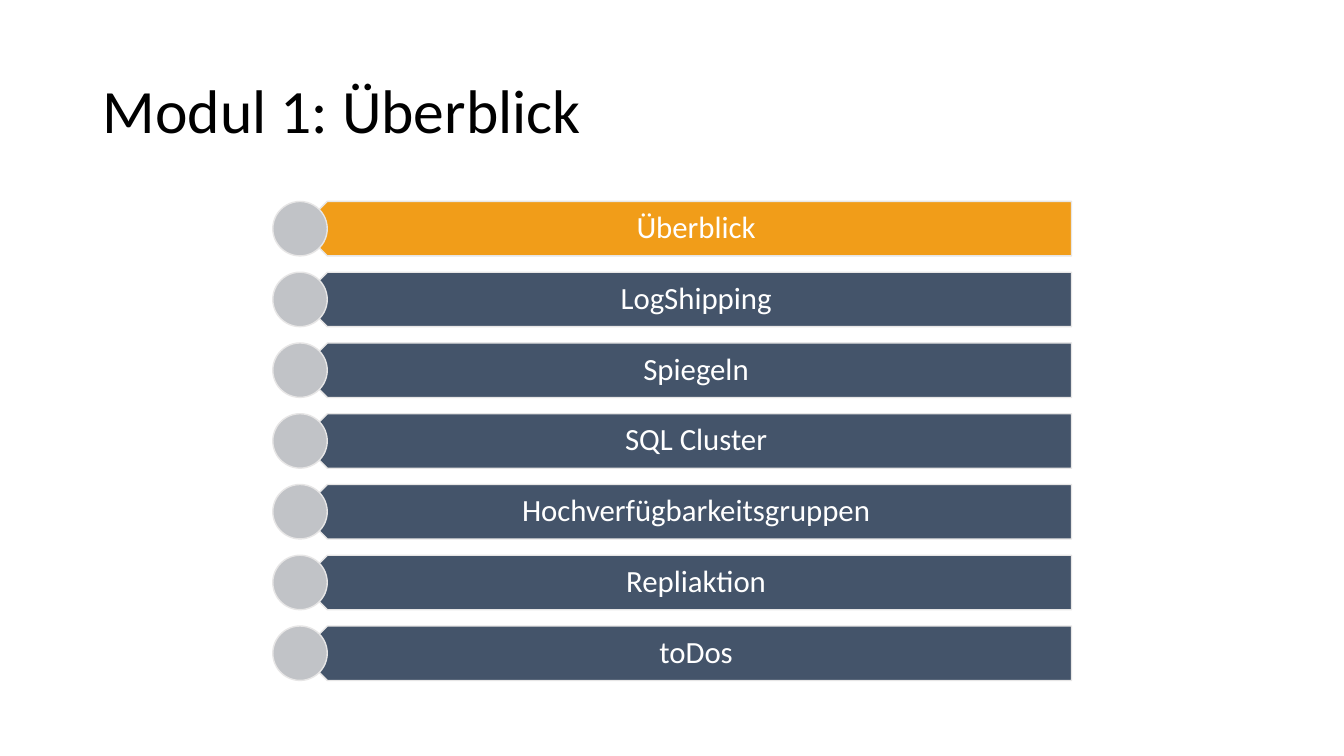
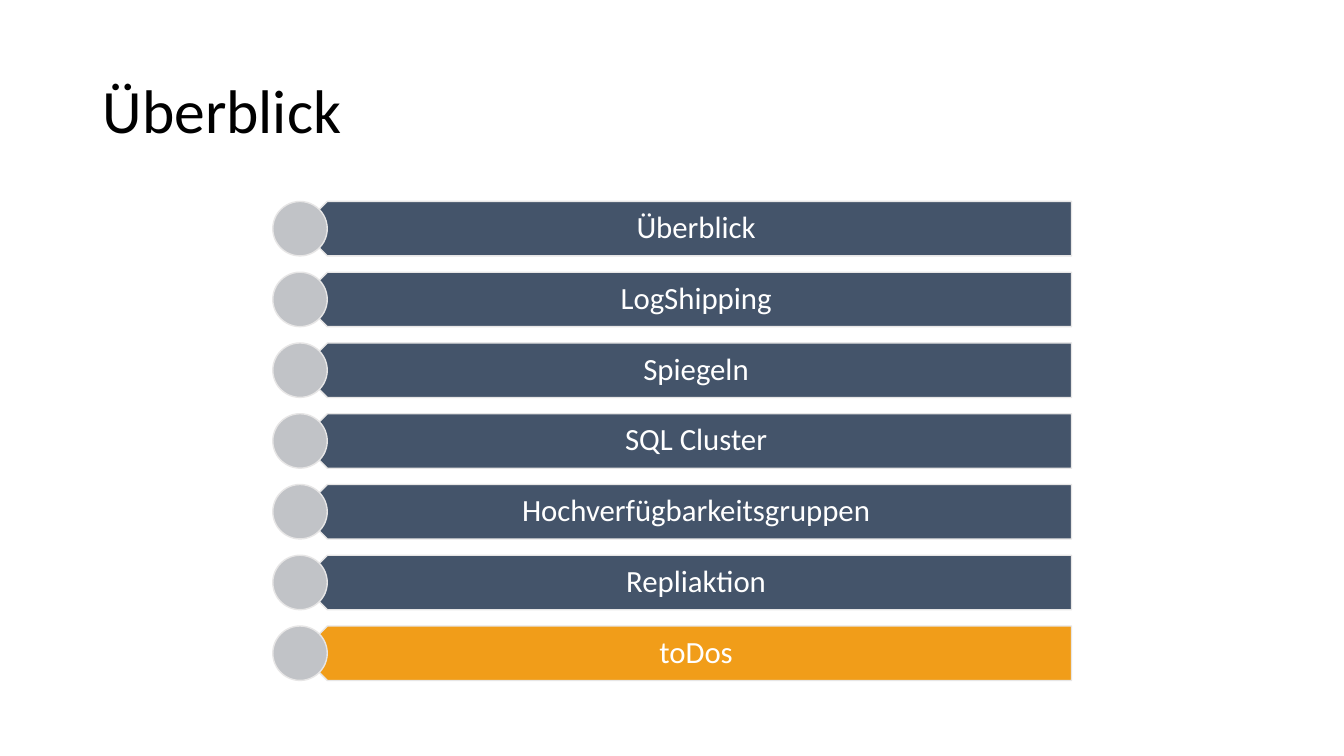
from pptx import Presentation
from pptx.dml.color import RGBColor
from pptx.enum.shapes import MSO_SHAPE as Shape
from pptx.enum.text import MSO_ANCHOR as Anchor, PP_ALIGN as Align
from pptx.util import Inches, Pt

COLORS = {
    "title": "000000",
    "current": "F19D19",
    "topic": "44546A",
    "disc": "C1C3C7",
    "outline": "E7E6E6",
    "label": "FFFFFF",
}
FONT = "Calibri"
TOPICS = [
    "Überblick",
    "LogShipping",
    "Spiegeln",
    "SQL Cluster",
    "Hochverfügbarkeitsgruppen",
    "Repliaktion",
    "toDos",
]
AGENDAS = [("Modul 1: Überblick", "Überblick"), ("Überblick", "toDos")]

deck = Presentation()
deck.slide_width, deck.slide_height = Inches(13.33), Inches(7.5)
column, row = deck.slide_width / 100, deck.slide_height / 100

disc_size = 7.2 * row
topic_pitch = 1.3 * disc_size
list_left, list_top = 20.3 * column, 26.65 * row
bar_left = list_left + disc_size / 2
bar_width = 57.4 * column
label_left = bar_left + disc_size / 4
label_width = bar_width - disc_size / 4


def add_text(shapes, text, box, size, color, align, insets):
    frame = shapes.add_textbox(*map(round, box)).text_frame
    frame.word_wrap = True
    frame.vertical_anchor = Anchor.MIDDLE
    frame.margin_left, frame.margin_right = map(Inches, insets)
    paragraph = frame.paragraphs[0]
    paragraph.alignment = align
    paragraph.line_spacing = 0.9
    run = paragraph.add_run()
    run.text = text
    run.font.name = FONT
    run.font.size = Pt(size)
    run.font.color.rgb = RGBColor.from_string(COLORS[color])


def add_outlined(shapes, preset, box, color):
    shape = shapes.add_shape(preset, *map(round, box))
    shape.shadow.inherit = False
    shape.fill.solid()
    shape.fill.fore_color.rgb = RGBColor.from_string(COLORS[color])
    shape.line.color.rgb = RGBColor.from_string(COLORS["outline"])
    shape.line.width = Pt(1)
    return shape


for title, current in AGENDAS:
    slide = deck.slides.add_slide(deck.slide_layouts[6])
    title_box = (6.9 * column, 5.3 * row, 86.25 * column, 19.3 * row)
    add_text(slide.shapes, title, title_box, 44, "title", Align.LEFT, (0.1, 0.1))

    agenda = slide.shapes.add_group_shape().shapes
    for index, topic in enumerate(TOPICS):
        top = list_top + index * topic_pitch
        bar_color = "current" if topic == current else "topic"
        bar_box = (bar_left, top, bar_width, disc_size)
        bar = add_outlined(agenda, Shape.PENTAGON, bar_box, bar_color)
        bar.rotation = 180
        label_box = (label_left, top, label_width, disc_size)
        add_text(agenda, topic, label_box, 22, "label", Align.CENTER, (0.24, 0.17))
        disc_box = (list_left, top, disc_size, disc_size)
        add_outlined(agenda, Shape.OVAL, disc_box, "disc")

deck.save("out.pptx")
